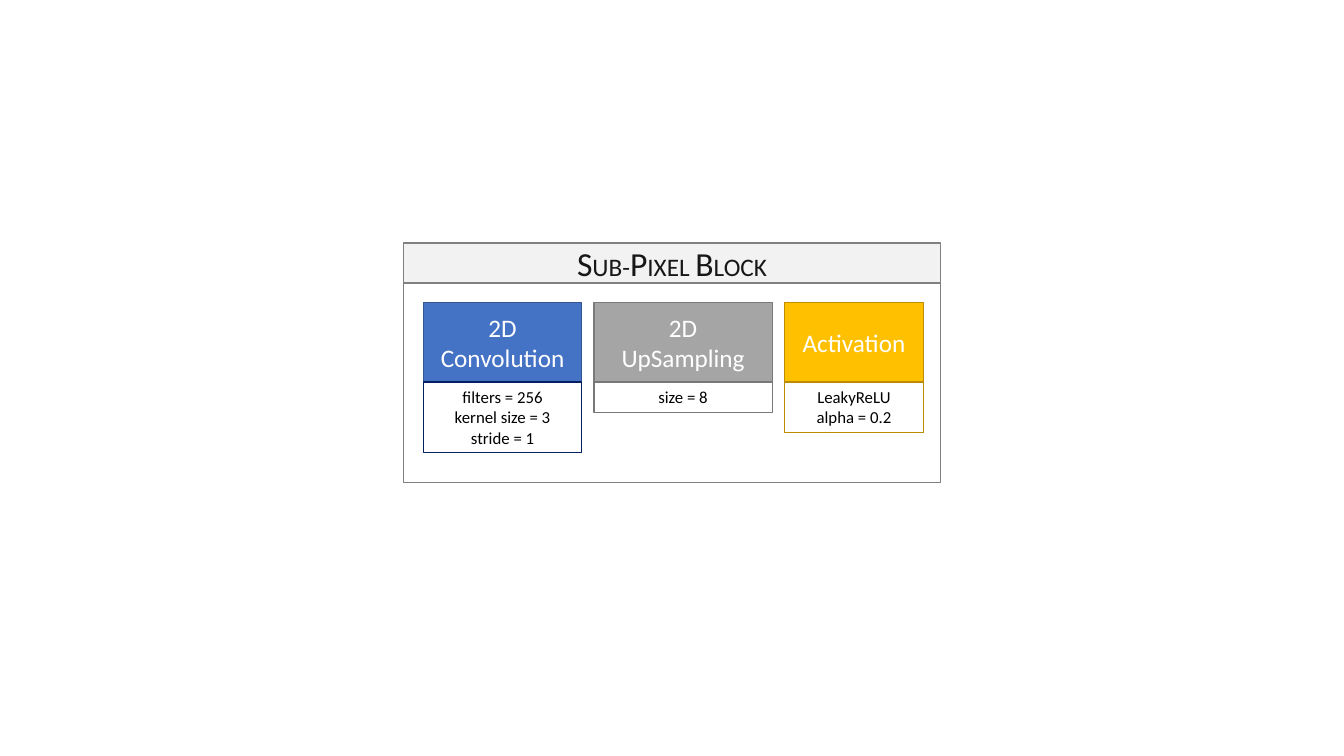
from pptx import Presentation
from pptx import util as u
from pptx.dml.color import RGBColor
from pptx.enum import shapes, text

WHITE = RGBColor(0xFF, 0xFF, 0xFF)
BLACK = RGBColor(0, 0, 0)
INK = RGBColor(0x18, 0x17, 0x17)
PALE = RGBColor(0xF2, 0xF2, 0xF2)
GREY = RGBColor(0x80, 0x80, 0x80)
BLUE = RGBColor(0x44, 0x72, 0xC4)
BLUE_EDGE = RGBColor(0x32, 0x54, 0x91)
NAVY = RGBColor(0x00, 0x20, 0x60)
ASH = RGBColor(0xA5, 0xA5, 0xA5)
ASH_EDGE = RGBColor(0x7A, 0x7A, 0x7A)
ASH_NOTE = RGBColor(0x78, 0x78, 0x78)
GOLD = RGBColor(0xFF, 0xC0, 0x00)
GOLD_EDGE = RGBColor(0xBD, 0x8E, 0x00)
GOLD_NOTE = RGBColor(0xBC, 0x8C, 0x00)

LEFT, TOP, WIDE = 4, 2.41, 5.33
HEAD, BODY = 0.4, 1.98
PAD, GAP = 0.2, 0.12
HIGH, ROW = 0.79, 0.2

deck = Presentation()
deck.slide_width = u.Inches(13.33)
deck.slide_height = u.Inches(7.5)
slide = deck.slides.add_slide(deck.slide_layouts[5])


def paint(box, fill, edge):
    if fill is None:
        box.fill.background()
    else:
        box.fill.solid()
        box.fill.fore_color.rgb = fill
    box.line.color.rgb = edge
    box.line.width = u.Pt(1)
    frame = box.text_frame
    frame.word_wrap = True
    frame.auto_size = text.MSO_AUTO_SIZE.NONE
    frame.vertical_anchor = text.MSO_ANCHOR.MIDDLE


def write(box, lines, color):
    frame = box.text_frame
    for n, runs in enumerate(lines):
        para = frame.add_paragraph() if n else frame.paragraphs[0]
        para.alignment = text.PP_ALIGN.CENTER
        for words, size in runs:
            run = para.add_run()
            run.text = words
            run.font.name = "Calibri"
            run.font.size = u.Pt(size)
            run.font.color.rgb = color


steps = [
    (1.57, ["2D Convolution"], BLUE, BLUE_EDGE,
     ["filters = 256", "kernel size = 3", "stride = 1"], NAVY),
    (1.77, ["2D", "UpSampling"], ASH, ASH_EDGE, ["size = 8"], ASH_NOTE),
    (1.38, ["Activation"], GOLD, GOLD_EDGE,
     ["LeakyReLU", "alpha = 0.2"], GOLD_NOTE),
]
x = LEFT + PAD
y = TOP + HEAD + PAD - 0.01
for wide, name, fill, edge, facts, rim in steps:
    parts = [
        (y, HIGH, name, 18, WHITE, fill, edge),
        (y + HIGH, 0.1 + ROW * len(facts), facts, 12, BLACK, None, rim),
    ]
    for top, high, lines, size, color, back, line in parts:
        box = slide.shapes.add_shape(
            shapes.MSO_SHAPE.RECTANGLE, u.Inches(x), u.Inches(top),
            u.Inches(wide), u.Inches(high))
        box.shadow.inherit = False
        paint(box, back, line)
        write(box, [[(words, size)] for words in lines], color)
    box.text_frame.vertical_anchor = text.MSO_ANCHOR.TOP
    x += wide + GAP

panel = slide.shapes.add_shape(
    shapes.MSO_SHAPE.RECTANGLE, u.Inches(LEFT), u.Inches(TOP + HEAD),
    u.Inches(WIDE), u.Inches(BODY))
panel.shadow.inherit = False
paint(panel, None, GREY)

title = slide.shapes.title
title.left, title.top = u.Inches(LEFT), u.Inches(TOP)
title.width, title.height = u.Inches(WIDE), u.Inches(HEAD)
paint(title, PALE, GREY)
write(title, [[("S", 24), ("UB-", 18), ("P", 24), ("IXEL ", 18),
               ("B", 24), ("LOCK", 18)]], INK)

deck.save("out.pptx")
